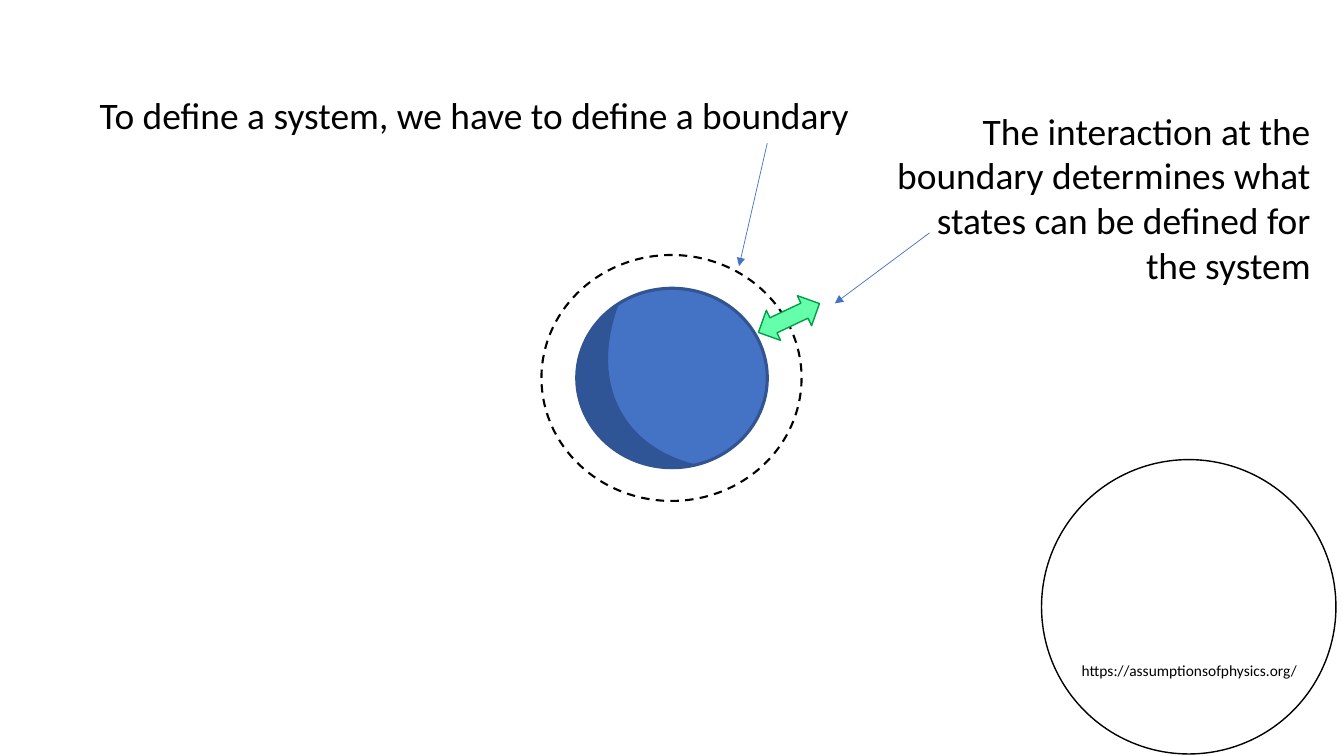
from lxml.etree import SubElement
from pptx import Presentation
from pptx.dml.color import RGBColor
from pptx.enum.dml import MSO_LINE
from pptx.enum.shapes import MSO_CONNECTOR, MSO_SHAPE
from pptx.enum.text import PP_ALIGN
from pptx.oxml.ns import qn
from pptx.util import Inches, Pt

CRESCENT_START = (1.19, 1.75)
CRESCENT_CURVES = [
    ((0.76, 1.86), (0.31, 1.67), (0.11, 1.29)),
    ((-0.11, 0.89), (0.02, 0.4), (0.42, 0.15)),
    ((0.11, 0.97), (0.49, 1.59), (1.19, 1.75)),
]
CURVE_STEPS = 24


def color(hex_string):
    return RGBColor.from_string(hex_string)


def apply_format(target, values):
    for name, value in values.items():
        setattr(target, name, value)


def paint(shape, fill=None, line=None, **line_format):
    shape.shadow.inherit = False
    if fill:
        shape.fill.solid()
        shape.fill.fore_color.rgb = color(fill)
    else:
        shape.fill.background()
    if line:
        shape.line.color.rgb = color(line)
        apply_format(shape.line, line_format)
    else:
        shape.line.fill.background()


def add_preset(slide, preset, box, **look):
    shape = slide.shapes.add_shape(preset, *map(Inches, box))
    paint(shape, **look)
    return shape


def add_text(slide, box, words, size, align=PP_ALIGN.LEFT, wrap=True):
    frame = slide.shapes.add_textbox(*map(Inches, box)).text_frame
    frame.word_wrap = wrap
    paragraph = frame.paragraphs[0]
    paragraph.alignment = align
    run = paragraph.add_run()
    apply_format(run, {"text": words})
    apply_format(run.font, {"name": "Calibri", "size": Pt(size)})
    run.font.color.rgb = color("000000")


def add_pointer(slide, start, end):
    pointer = slide.shapes.add_connector(
        MSO_CONNECTOR.STRAIGHT, *map(Inches, start + end))
    pointer.line.color.rgb = color("4472C4")
    pointer.line.width = Pt(0.5)
    SubElement(pointer.line._get_or_add_ln(), qn("a:tailEnd"), type="triangle")
    SubElement(pointer._element.spPr, qn("a:effectLst"))


def curve_points(start, first, second, end):
    for step in range(1, CURVE_STEPS + 1):
        t = step / CURVE_STEPS
        weights = ((1 - t) ** 3, 3 * t * (1 - t) ** 2, 3 * t * t * (1 - t), t ** 3)
        yield tuple(sum(w * v for w, v in zip(weights, axis))
                    for axis in zip(start, first, second, end))


def add_planet(slide, box):
    left, top = box[:2]
    add_preset(slide, MSO_SHAPE.OVAL, box,
               fill="4472C4", line="325491", width=Pt(2.25))

    def place(point):
        return Inches(left + point[0]), Inches(top + point[1])

    outline = []
    start = CRESCENT_START
    for curve in CRESCENT_CURVES:
        outline += curve_points(start, *curve)
        start = curve[-1]
    builder = slide.shapes.build_freeform(*place(CRESCENT_START))
    builder.add_line_segments([place(point) for point in outline])
    paint(builder.convert_to_shape(), fill="2F5597")


def add_badge(slide, box):
    left, top = box[:2]
    add_preset(slide, MSO_SHAPE.OVAL, box, line="000000", width=Pt(1))
    add_text(slide, (left + 0.3, top + 1.95, 2.35, 0.29),
             "https://assumptionsofphysics.org/", 11, wrap=False)


def add_system(slide, box):
    left, top, width, height = box
    add_planet(slide, (left + 0.35, top + 0.33, width - 0.69, height - 0.66))
    add_preset(slide, MSO_SHAPE.OVAL, box,
               line="000000", width=Pt(1.5), dash_style=MSO_LINE.DASH)
    interaction = add_preset(
        slide, MSO_SHAPE.LEFT_RIGHT_ARROW, (left + 2.12, top + 0.46, 0.67, 0.33),
        fill="65FFAB", line="009E47", width=Pt(1))
    interaction.rotation = 334.7


def add_boundary_note(slide, box):
    left, top = box[:2]
    add_text(slide, box, "To define a system, we have to define a boundary", 26.7)
    add_pointer(slide, (left + 6.72, top + 0.56), (left + 6.44, top + 1.78))


def add_interaction_note(slide, box):
    left, top = box[:2]
    add_text(slide, box,
             "The interaction at the boundary determines what states "
             "can be defined for the system", 26.7, align=PP_ALIGN.RIGHT)
    add_pointer(slide, (left + 0.43, top + 1.29), (left - 0.51, top + 1.99))


def main():
    deck = Presentation()
    apply_format(deck, {"slide_width": Inches(13.33), "slide_height": Inches(7.5)})
    slide = deck.slides.add_slide(deck.slide_layouts[6])
    add_badge(slide, (10.33, 4.56, 2.92, 2.92))
    add_system(slide, (5.37, 2.53, 2.58, 2.44))
    add_boundary_note(slide, (0.89, 0.86, 8.33, 0.55))
    add_interaction_note(slide, (8.79, 1.02, 4.31, 1.9))
    deck.save("out.pptx")


if __name__ == "__main__":
    main()
